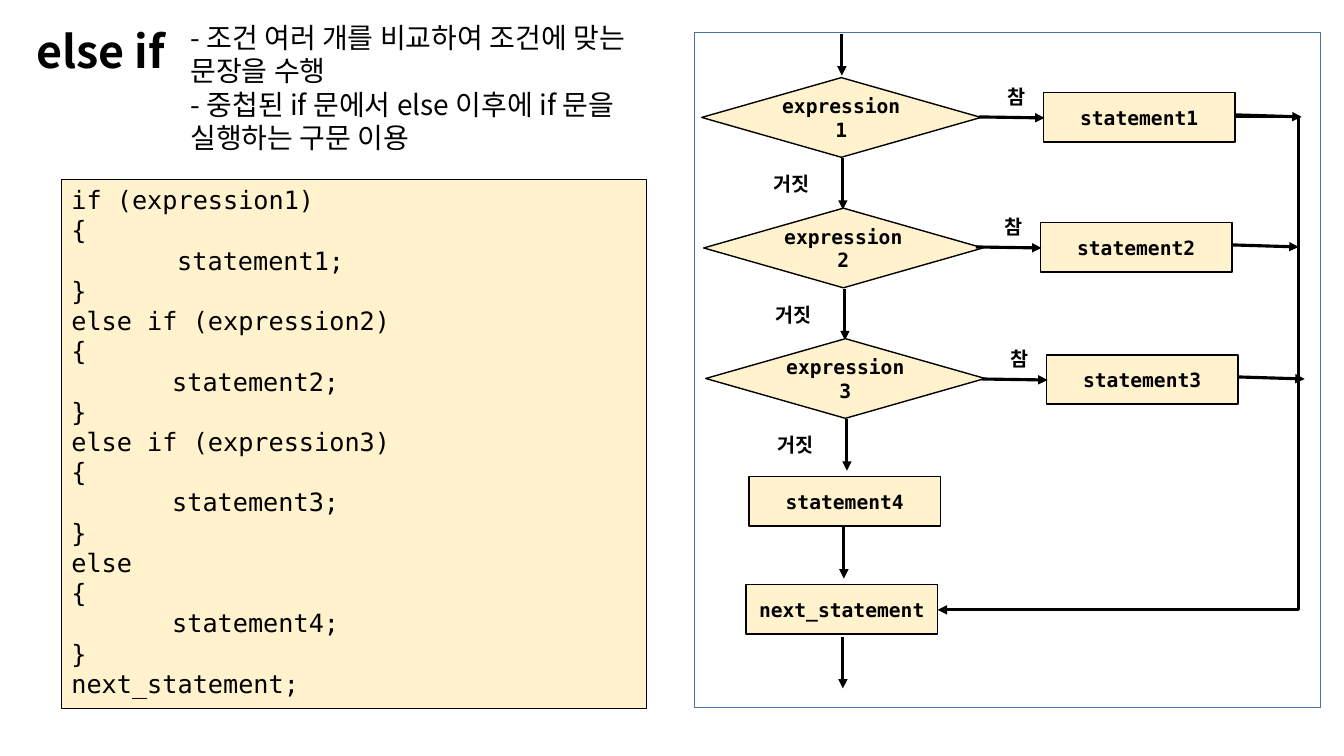
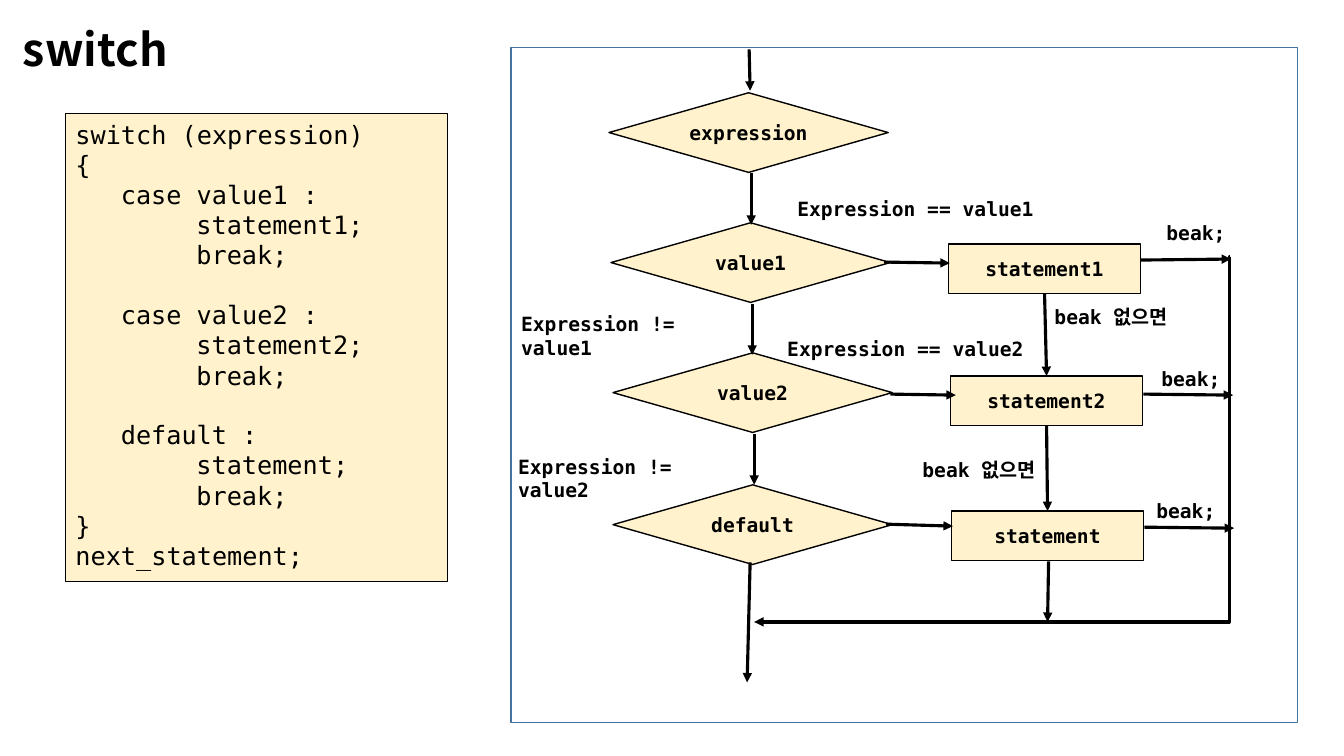
from lxml.etree import SubElement
from pptx import Presentation
from pptx.dml.color import RGBColor
from pptx.enum.shapes import MSO_CONNECTOR, MSO_SHAPE
from pptx.enum.text import MSO_ANCHOR, PP_ALIGN
from pptx.oxml.ns import qn
from pptx.util import Inches, Pt

COLORS = {"ink": "000000", "cream": "FFF2CC", "frame": "43739E"}
MONO = "DejaVu Sans Mono"
KOREAN = "Noto Sans CJK KR"
CODE = {"fill": "cream", "weight": 0.75, "size": 18, "bold": False,
        "align": PP_ALIGN.LEFT, "anchor": MSO_ANCHOR.TOP}
LABEL = {"line": None, "align": PP_ALIGN.LEFT, "anchor": MSO_ANCHOR.TOP}
NODE = {"fill": "cream"}
DIAMOND = (2.77, 0.79)
STATEMENT = (1.9, 0.49)

presentation = Presentation()
presentation.slide_width = Inches(13.33)
presentation.slide_height = Inches(7.5)


def add_box(slide, kind, position, size_in, lines=(), fill=None, line="ink", weight=1,
            size=14, bold=True, font=MONO, align=PP_ALIGN.CENTER,
            anchor=MSO_ANCHOR.MIDDLE, spacing=None):
    """Add a shape whose lines are (indent in inches, space before in points, text)."""
    area = [Inches(value) for value in (*position, *size_in)]
    if line:
        shape = slide.shapes.add_shape(kind, *area)
        shape.shadow.inherit = False
        shape.line.color.rgb = RGBColor.from_string(COLORS[line])
        shape.line.width = Pt(weight)
        if fill:
            shape.fill.solid()
            shape.fill.fore_color.rgb = RGBColor.from_string(COLORS[fill])
        else:
            shape.fill.background()
    else:
        shape = slide.shapes.add_textbox(*area)
    frame = shape.text_frame
    frame.word_wrap = True
    frame.vertical_anchor = anchor
    if isinstance(lines, str):
        lines = [(0, 0, lines)]
    for number, (indent, before, text) in enumerate(lines):
        paragraph = frame.add_paragraph() if number else frame.paragraphs[0]
        paragraph.alignment = align
        paragraph.space_before = Pt(before)
        if spacing:
            paragraph.line_spacing = spacing
        if indent:
            properties = paragraph._p.get_or_add_pPr()
            properties.set("marL", str(Inches(indent)))
            properties.set("indent", "0")
        run = paragraph.add_run()
        run.text = text
        run.font.size = Pt(size)
        run.font.bold = bold
        run.font.color.rgb = RGBColor.from_string(COLORS["ink"])
        run.font.name = font
        east_asian = KOREAN if font == MONO else font
        SubElement(run._r.get_or_add_rPr(), qn("a:ea"), typeface=east_asian)


def add_arrow(slide, start, end, bend=None):
    """Add a straight arrow, or an elbow whose bend is a share of its width."""
    kind = MSO_CONNECTOR.STRAIGHT if bend is None else MSO_CONNECTOR.ELBOW
    connector = slide.shapes.add_connector(
        kind, *[Inches(value) for value in (*start, *end)])
    connector.line.color.rgb = RGBColor.from_string(COLORS["ink"])
    connector.line.width = Pt(2.25)
    SubElement(connector.line._get_or_add_ln(), qn("a:tailEnd"), type="triangle")
    properties = connector._element.spPr
    SubElement(properties, qn("a:effectLst"))
    if bend is not None:
        adjustments = properties.find(qn("a:prstGeom")).find(qn("a:avLst"))
        SubElement(adjustments, qn("a:gd"), name="adj1", fmla=f"val {round(bend * 100000)}")


# Both slides: title, frame of the flowchart, code listing
pages = [
    {
        "title": "else if", "title_font": "Noto Sans CJK TC", "title_at": (0.26, 0.14),
        "frame": ((6.89, 0.32), (6.21, 6.7)),
        "code_area": ((0.61, 1.78), (5.8, 5.25)),
        "code": [
            (0, 0, "if (expression1)"), (0, 0, "{"), (1.05, 0, "statement1;"), (0, 0, "}"),
            (0, 0, "else if (expression2)"), (0, 0, "{"), (1, 0, "statement2;"), (0, 0, "}"),
            (0, 0, "else if (expression3)"), (0, 0, "{"), (1, 0, "statement3;"), (0, 0, "}"),
            (0, 0, "else"), (0, 0, "{"), (1, 0, "statement4;"), (0, 0, "}"),
            (0, 0, "next_statement;"),
        ],
    },
    {
        "title": "switch", "title_font": KOREAN, "title_at": (0.13, 0.12),
        "frame": ((5.07, 0.47), (7.8, 6.7)),
        "code_area": ((0.65, 1.13), (3.79, 4.64)),
        "code": [
            (0, 0, "switch (expression)"), (0, 0, "{"),
            (0.45, 0, "case value1 :"), (1.2, 0, "statement1;"), (1.2, 0, "break;"),
            (0.45, 21, "case value2 :"), (1.2, 0, "statement2;"), (1.2, 0, "break;"),
            (0.45, 21, "default :"), (1.2, 0, "statement;"), (1.2, 0, "break;"),
            (0, 0, "}"), (0, 0, "next_statement;"),
        ],
    },
]
slides = []
for page in pages:
    slide = presentation.slides.add_slide(presentation.slide_layouts[6])
    add_box(slide, MSO_SHAPE.RECTANGLE, *page["frame"], line="frame")
    add_box(slide, None, page["title_at"], (1.9, 0.8), page["title"], line=None, size=32,
            font=page["title_font"], align=PP_ALIGN.LEFT, spacing=0.9)
    add_box(slide, MSO_SHAPE.RECTANGLE, *page["code_area"], page["code"], **CODE)
    slides.append(slide)
else_if_slide, switch_slide = slides

# else if: explanation
add_box(else_if_slide, None, (1.29, 0.15), (5.61, 1.45), [
    (0.5, 0, "- 조건 여러 개를 비교하여 조건에 맞는 문장을 수행"),
    (0.5, 0, "- 중첩된 if 문에서 else 이후에 if 문을 실행하는 구문 이용"),
], size=20, bold=False, font=KOREAN, **LABEL)

# else if: three tests, each with its true and false branch
add_arrow(else_if_slide, (8.35, 0.34), (8.35, 0.75))
for row, (left, top) in enumerate([(10.35, 0.92), (10.32, 2.21), (10.38, 3.52)]):
    drop = 1.295 * row
    shift = 0.02 * row
    add_box(else_if_slide, MSO_SHAPE.DIAMOND, (6.96 + shift, 0.77 + drop), DIAMOND,
            f"expression{row + 1}", **NODE)
    add_box(else_if_slide, MSO_SHAPE.RECTANGLE, (left, top), STATEMENT,
            f"statement{row + 1}", **NODE)
    add_box(else_if_slide, None, (left - 0.46, top - 0.13), (0.42, 0.34), "참", **LABEL)
    add_box(else_if_slide, None, (7.57 + shift, 1.66 + drop), (0.69, 0.34), "거짓", **LABEL)
    add_arrow(else_if_slide, (left - 0.64, top + 0.24), (left + 0.01, top + 0.25))
    add_arrow(else_if_slide, (left + 1.91, top + 0.22), (left + 2.56, top + 0.24))
    add_arrow(else_if_slide, (8.36 + shift, 1.57 + drop), (8.36 + shift, 2.08 + drop))

# else if: last branch and the common way out
for position, text in [((7.43, 4.73), "statement4"), ((7.4, 5.8), "next_statement")]:
    add_box(else_if_slide, MSO_SHAPE.RECTANGLE, position, STATEMENT, text, **NODE)
add_arrow(else_if_slide, (8.37, 5.23), (8.37, 5.74))
add_arrow(else_if_slide, (8.36, 6.32), (8.36, 6.83))
add_arrow(else_if_slide, (12.25, 1.16), (9.3, 6.05), bend=-0.213)

# switch: nodes
for position, text in [((6.04, 0.92), "expression"), ((6.06, 2.21), "value1"),
                       ((6.08, 3.5), "value2"), ((6.08, 4.81), "default")]:
    add_box(switch_slide, MSO_SHAPE.DIAMOND, position, DIAMOND, text, **NODE)
for position, text in [((9.41, 2.42), "statement1"), ((9.43, 3.73), "statement2"),
                       ((9.44, 5.07), "statement")]:
    add_box(switch_slide, MSO_SHAPE.RECTANGLE, position, STATEMENT, text, **NODE)

# switch: arrows
for start, end in [
    # Down through the tests
    ((7.43, 0.49), (7.44, 0.9)), ((7.45, 1.72), (7.45, 2.23)),
    ((7.46, 3.02), (7.46, 3.52)), ((7.48, 4.31), (7.48, 4.81)),
    ((7.44, 5.58), (7.41, 6.77)),
    # From test to statement
    ((8.77, 2.6), (9.42, 2.61)), ((8.83, 3.91), (9.48, 3.92)), ((8.79, 5.2), (9.45, 5.22)),
    # Out by break
    ((11.31, 2.58), (12.21, 2.57)), ((11.34, 3.91), (12.23, 3.92)),
    ((11.35, 5.23), (12.24, 5.24)),
    # On to the next statement
    ((10.36, 2.91), (10.38, 3.73)), ((10.38, 4.22), (10.39, 5.07)),
    ((10.4, 5.57), (10.39, 6.17)),
]:
    add_arrow(switch_slide, start, end)
add_arrow(switch_slide, (12.2, 2.55), (7.48, 6.17), bend=0.002)

# switch: labels
for position, width, text in [
    ((7.81, 1.9), 2.83, "Expression == value1"), ((7.71, 3.29), 2.83, "Expression == value2"),
    ((5.07, 3.05), 2.41, "Expression != value1"), ((5.04, 4.46), 2.41, "Expression != value2"),
    ((10.36, 2.98), 1.51, "beak 없으면"), ((9.05, 4.49), 1.51, "beak 없으면"),
    ((11.47, 2.14), 1.02, "beak;"), ((11.42, 3.59), 1.02, "beak;"),
    ((11.37, 4.9), 1.02, "beak;"),
]:
    add_box(switch_slide, None, position, (width, 0.34), text, **LABEL)

presentation.save("out.pptx")
